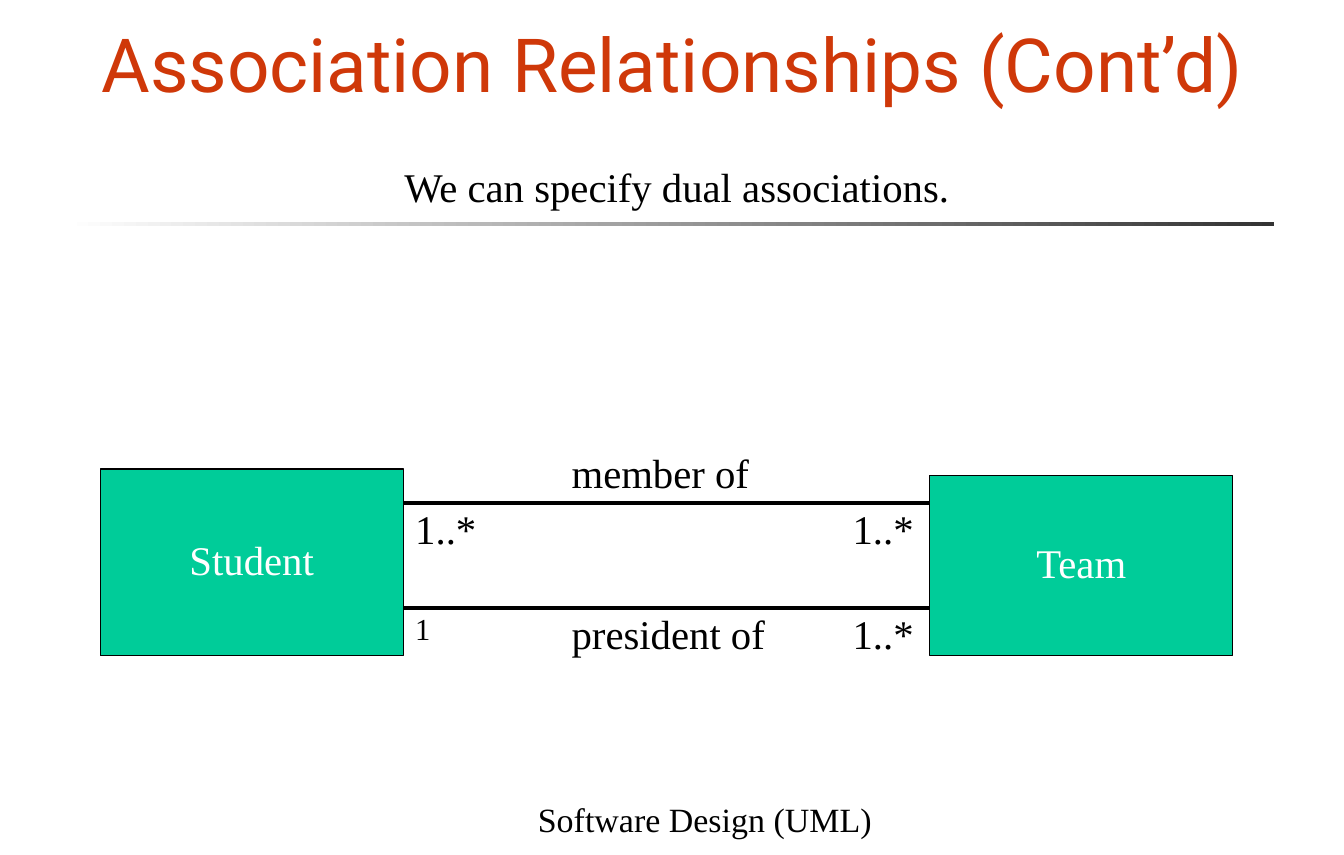
from lxml import etree
from pptx import Presentation
from pptx import util as u
from pptx.dml.color import RGBColor
from pptx.enum import shapes, text
from pptx.oxml import ns

WIDE, HIGH = u.Inches(11), u.Inches(7)
COL, ROW = WIDE / 110, HIGH / 70
SERIF = "Times New Roman"
BLACK, WHITE, GREEN, RED = "000000", "FFFFFF", "00CC99", "CF3809"
LEFT, RIGHT = 33, 76.1
BASE = 53.7
MID = text.PP_ALIGN.CENTER
START = text.PP_ALIGN.LEFT


def color(code):
    return RGBColor.from_string(code)


def grid(left, top, width, height):
    return [round(n) for n in (left * COL, top * ROW, width * COL, height * ROW)]


def write(shape, words, size, code, align, anchor, face=SERIF, space=0.9):
    frame = shape.text_frame
    frame.text = words
    frame.auto_size = text.MSO_AUTO_SIZE.NONE
    frame.word_wrap = True
    frame.vertical_anchor = anchor
    line = frame.paragraphs[0]
    line.alignment = align
    line.line_spacing = space
    line.font.size = u.Pt(size)
    line.font.name = face
    line.font.color.rgb = color(code)


def add_title(slide, words):
    title = slide.shapes.title
    title.left, title.top, title.width, title.height = grid(7.3, 3.9, 97.2, 5.4)
    write(title, words, 44, RED, START, text.MSO_ANCHOR.BOTTOM, "Roboto", 1.02)


def add_label(slide, words, cell, size=24, align=START,
              anchor=text.MSO_ANCHOR.TOP, space=0.9):
    label = slide.shapes.add_textbox(*grid(*cell))
    write(label, words, size, BLACK, align, anchor, space=space)


def add_rule(slide):
    rule = slide.shapes.add_shape(shapes.MSO_SHAPE.RECTANGLE,
                                  *grid(5.3, 18.2, 99, 0.3))
    rule.shadow.inherit = False
    rule.line.fill.background()
    rule.fill.gradient()
    rule.fill.gradient_angle = 180
    for stop, code in zip(rule.fill.gradient_stops, ("333333", WHITE)):
        stop.color.rgb = color(code)


def add_class(slide, name, left, top):
    box = slide.shapes.add_shape(shapes.MSO_SHAPE.RECTANGLE,
                                 *grid(left, top, 24.8, BASE - top))
    box.shadow.inherit = False
    box.fill.solid()
    box.fill.fore_color.rgb = color(GREEN)
    box.line.color.rgb = color(BLACK)
    box.line.width = u.Pt(0.75)
    write(box, name, 24, WHITE, MID, text.MSO_ANCHOR.MIDDLE)


def add_link(slide, row):
    left, top, width, _ = grid(LEFT, row, RIGHT - LEFT, 0)
    link = slide.shapes.add_connector(shapes.MSO_CONNECTOR.STRAIGHT,
                                      left, top, left + width, top)
    link.line.color.rgb = color(BLACK)
    link.line.width = u.Pt(2.25)
    etree.SubElement(link._element.spPr, ns.qn("a:effectLst"))


def main():
    deck = Presentation()
    deck.slide_width, deck.slide_height = WIDE, HIGH
    slide = deck.slides.add_slide(deck.slide_layouts[5])

    add_rule(slide)
    add_title(slide, "Association Relationships (Cont’d)")
    add_label(slide, "We can specify dual associations.",
              (8.2, 13.2, 94.4, 4.6), align=MID)
    add_label(slide, "Software Design (UML)", (40.3, 64.5, 34.8, 4.7), 20, MID,
              text.MSO_ANCHOR.BOTTOM, 1)

    add_class(slide, "Student", LEFT - 24.8, 38.4)
    add_class(slide, "Team", RIGHT, 38.9)

    links = [
        (41.2, "member of", 36.6, "1..*", 24),
        (49.8, "president of", 49.8, "1", 18),
    ]
    for row, role, top, count, size in links:
        add_link(slide, row)
        add_label(slide, role, (45.8, top, 21.1, 4.6))
        add_label(slide, count, (LEFT, row, 8.2, 4.6), size)
        add_label(slide, "1..*", (68.8, row, 8.2, 4.6))

    deck.save("out.pptx")


if __name__ == "__main__":
    main()
